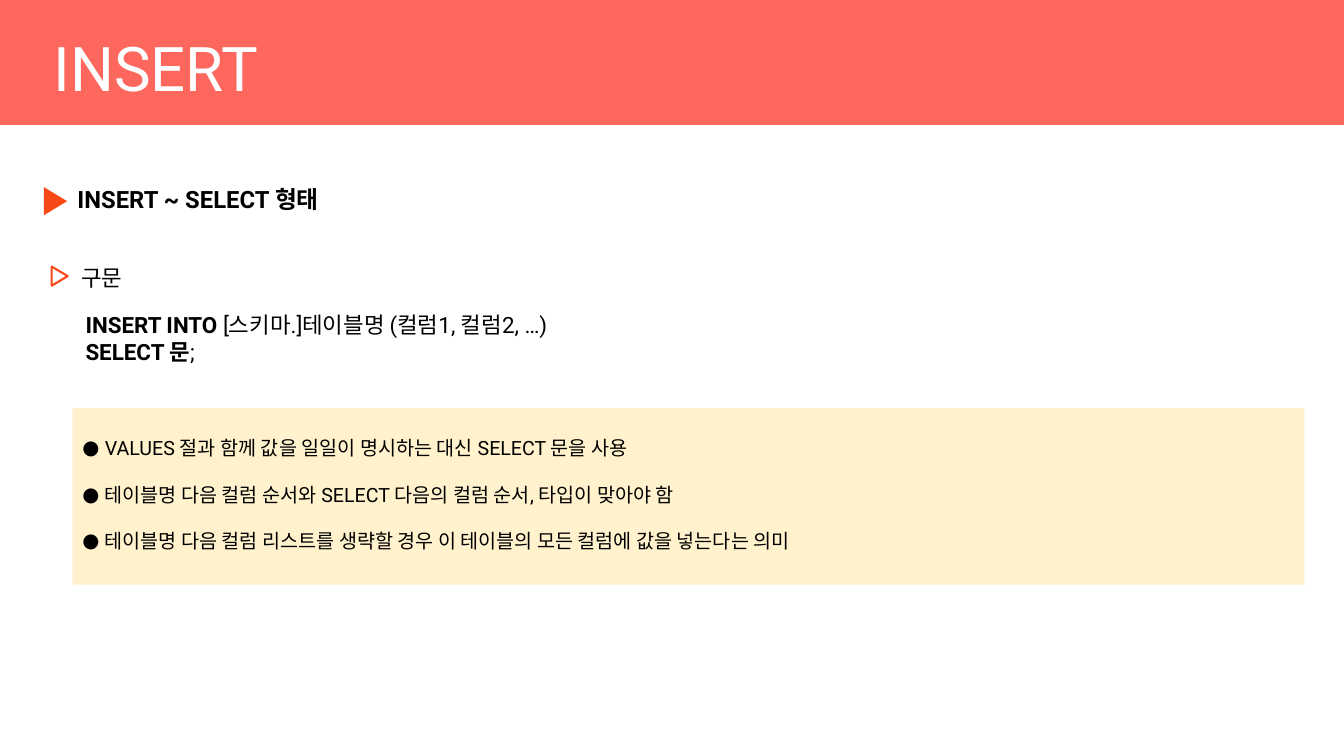
"""Build the INSERT ~ SELECT syntax slide."""
from lxml.etree import SubElement
from pptx import Presentation
from pptx.dml.color import RGBColor
from pptx.enum.shapes import MSO_SHAPE
from pptx.enum.text import MSO_ANCHOR, MSO_AUTO_SIZE, PP_ALIGN
from pptx.oxml.ns import qn
from pptx.util import Pt

CORAL = RGBColor(0xFD, 0x67, 0x5D)
ORANGE = RGBColor(0xF8, 0x48, 0x18)
CREAM = RGBColor(0xFF, 0xF2, 0xCC)
WHITE = RGBColor(0xFF, 0xFF, 0xFF)
BLACK = RGBColor(0, 0, 0)


def write(shape, lines, size=16, color=BLACK, anchor=MSO_ANCHOR.TOP, top=3.6, gap=0, bullet=None):
    frame = shape.text_frame
    frame.word_wrap = True
    frame.auto_size = MSO_AUTO_SIZE.NONE
    frame.vertical_anchor = anchor
    frame.margin_left = frame.margin_right = Pt(7.2)
    frame.margin_top, frame.margin_bottom = Pt(top), Pt(3.6)
    for index, line in enumerate(lines):
        paragraph = frame.add_paragraph() if index else frame.paragraphs[0]
        paragraph.alignment = PP_ALIGN.LEFT
        if index:
            paragraph.space_before = Pt(gap)
        if bullet:
            properties = paragraph._p.get_or_add_pPr()
            properties.set("marL", str(Pt(16)))
            properties.set("indent", str(-Pt(16)))
            SubElement(properties, qn("a:buFont")).set("typeface", "Roboto")
            SubElement(properties, qn("a:buChar")).set("char", bullet)
        for text, bold in line:
            run = paragraph.add_run()
            run.text = text
            run.font.name = "Roboto"
            run.font.size = Pt(size)
            run.font.bold = bold
            run.font.color.rgb = color


def add_block(kind, left, top, width, height, fill, line=None):
    block = slide.shapes.add_shape(kind, Pt(left), Pt(top), Pt(width), Pt(height))
    block.shadow.inherit = False
    block.fill.solid()
    block.fill.fore_color.rgb = fill
    if line:
        block.line.color.rgb = line
        block.line.width = Pt(1.5)
    else:
        block.line.fill.background()
    return block


deck = Presentation()
deck.slide_width, deck.slide_height = Pt(960), Pt(540)
slide = deck.slides.add_slide(deck.slide_layouts[5])

band = add_block(MSO_SHAPE.RECTANGLE, 0, 0, 960, 89.3, CORAL)
slide.shapes._spTree.insert(2, band._element)

title = slide.shapes.title
title.left, title.top, title.width, title.height = Pt(31), Pt(21.6), Pt(828), Pt(56.2)
write(title, [[("INSERT", False)]], size=44, color=WHITE, anchor=MSO_ANCHOR.BOTTOM)

texts = [
    (51, 185, 666, 26.6, 16, [[("구문", False)]]),
    (54, 218.9, 666, 46, 16, [
        [("INSERT INTO ", True), ("[스키마.]테이블명 (컬럼1, 컬럼2, …)", False)],
        [("SELECT 문", True), (";", False)],
    ]),
    (48.2, 128.2, 360, 28, 17, [[("INSERT ~ SELECT 형태", True)]]),
]
for left, top, width, height, size, lines in texts:
    box = slide.shapes.add_textbox(Pt(left), Pt(top), Pt(width), Pt(height))
    write(box, lines, size=size)

markers = [
    (35.8, 191.5, 13.7, 11.5, WHITE, ORANGE),
    (29.5, 135.4, 20.2, 16.6, ORANGE, None),
]
for left, top, width, height, fill, line in markers:
    marker = add_block(MSO_SHAPE.FLOWCHART_EXTRACT, left, top, width, height, fill, line)
    marker.rotation = 90

notes = [
    "VALUES 절과 함께 값을 일일이 명시하는 대신 SELECT 문을 사용",
    "테이블명 다음 컬럼 순서와 SELECT 다음의 컬럼 순서, 타입이 맞아야 함",
    "테이블명 다음 컬럼 리스트를 생략할 경우 이 테이블의 모든 컬럼에 값을 넣는다는 의미",
]
panel = add_block(MSO_SHAPE.RECTANGLE, 51.8, 291.6, 880, 126, CREAM)
write(panel, [[(note, False)] for note in notes], size=14, top=20, gap=16.4, bullet="●")

deck.save("out.pptx")
